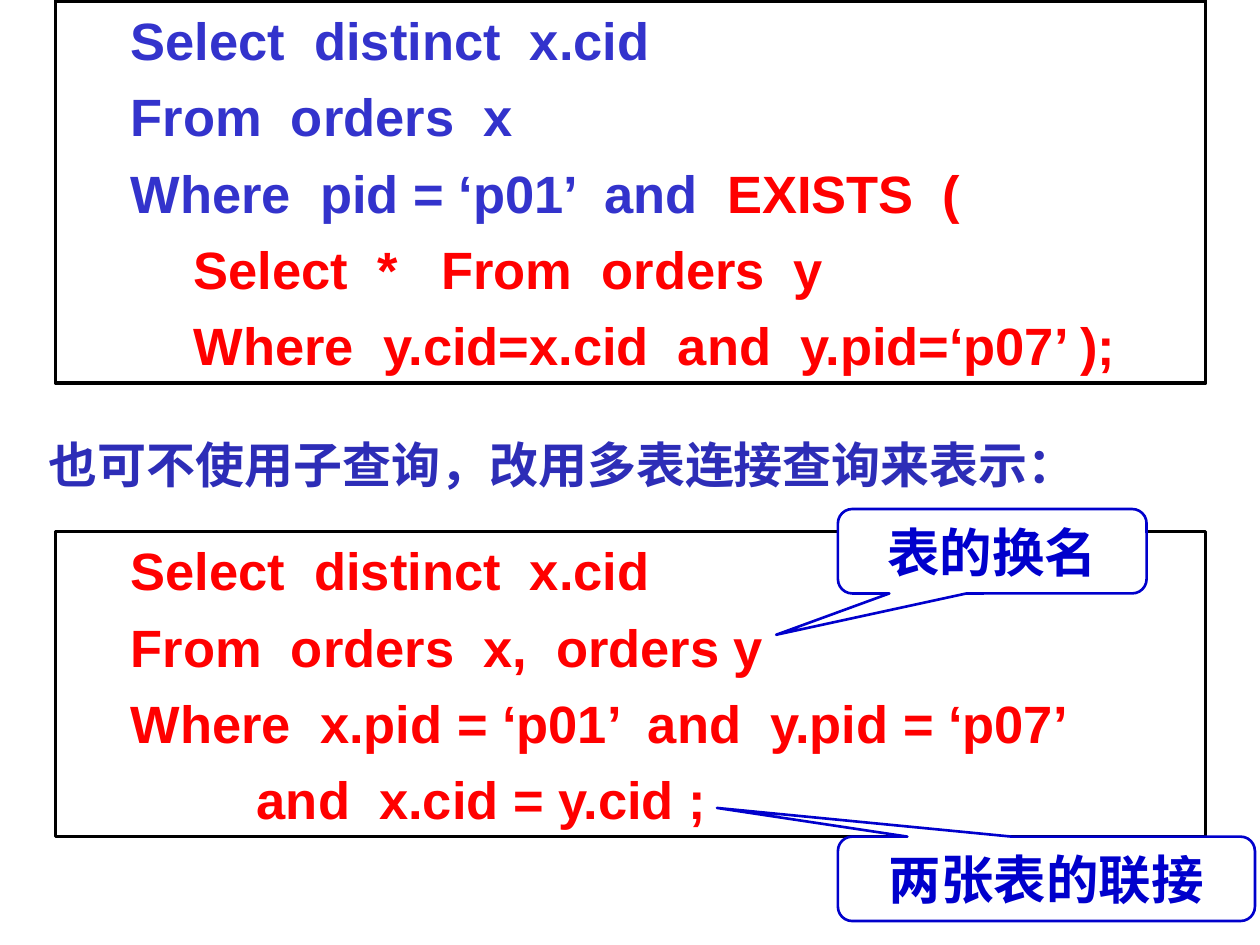
from pptx import Presentation
from pptx.dml.color import RGBColor
from pptx.enum.lang import MSO_LANGUAGE_ID
from pptx.enum.shapes import MSO_SHAPE
from pptx.enum.text import MSO_ANCHOR, PP_ALIGN
from pptx.util import Inches, Pt

RECT = MSO_SHAPE.RECTANGLE
CALLOUT = MSO_SHAPE.ROUNDED_RECTANGULAR_CALLOUT
MIDDLE = MSO_ANCHOR.MIDDLE
LEFT, CENTER = PP_ALIGN.LEFT, PP_ALIGN.CENTER
CHINESE = MSO_LANGUAGE_ID.SIMPLIFIED_CHINESE

RED, BLUE, NAVY, INDIGO = "FF0000", "3333CC", "0000CC", "2D2DB7"
BLACK, WHITE = "000000", "FFFFFF"

# Left margin and first-line indent for each depth of code, in inches
INDENTS = {1: (0.81, -0.31), 2: (1.25, -0.25), 3: (1.75, -0.25)}


def color(code):
    return RGBColor.from_string(code)


class Deck:
    code = {"name": "Arial", "size": Pt(30), "bold": True}
    label = {"name": "Times New Roman", "size": Pt(30), "bold": True,
             "language_id": CHINESE}
    note = {"name": "Arial", "size": Pt(28), "bold": True,
            "language_id": CHINESE}
    gap = Pt(7.5)

    def __init__(self, slide):
        self.slide = slide

    def add_text(self, para, text, style, hue):
        run = para.add_run()
        run.text = text
        for key, value in style.items():
            setattr(run.font, key, value)
        run.font.color.rgb = color(hue)

    def shape(self, kind, box, line, width, fill=None):
        item = self.slide.shapes.add_shape(kind, *map(Inches, box))
        item.shadow.inherit = False
        if fill:
            item.fill.solid()
            item.fill.fore_color.rgb = color(fill)
        else:
            item.fill.background()
        item.line.color.rgb = color(line)
        item.line.width = Pt(width)
        frame = item.text_frame
        frame.word_wrap = True
        frame.vertical_anchor = MIDDLE
        return item

    def query(self, box, lines):
        """Framed code; each line is a depth and its (text, colour) parts."""
        frame = self.shape(RECT, box, BLACK, 2).text_frame
        for i, (depth, *parts) in enumerate(lines):
            para = frame.add_paragraph() if i else frame.paragraphs[0]
            para.alignment = LEFT
            if i:
                para.space_before = self.gap
            props = para._p.get_or_add_pPr()
            for key, value in zip(("marL", "indent"), INDENTS[depth]):
                props.set(key, str(Inches(value)))
            for text, hue in parts:
                self.add_text(para, text, self.code, hue)

    def callout(self, box, tip, text):
        item = self.shape(CALLOUT, box, NAVY, 1.5, WHITE)
        for i, value in enumerate(tip):
            item.adjustments[i] = value
        para = item.text_frame.paragraphs[0]
        para.alignment = CENTER
        self.add_text(para, text, self.label, NAVY)

    def caption(self, box, text):
        frame = self.slide.shapes.add_textbox(*map(Inches, box)).text_frame
        frame.word_wrap = True
        self.add_text(frame.paragraphs[0], text, self.note, INDIGO)


def main():
    show = Presentation()
    show.slide_width, show.slide_height = Inches(10), Inches(7.5)
    deck = Deck(show.slides.add_slide(show.slide_layouts[6]))

    deck.query((0.44, 4.22, 9.13, 2.42), [
        (1, ("Select  distinct  x.cid", RED)),
        (1, ("From  orders  x,  orders y", RED)),
        (1, ("Where  x.pid = ‘p01’  and  y.pid = ‘p07’", RED)),
        (3, ("and  x.cid = y.cid ;", RED)),
    ])
    deck.callout((6.65, 4.04, 2.45, 0.67), (-0.7, 0.99, 0.17), "表的换名")
    deck.callout((6.65, 6.64, 3.31, 0.67), (-0.79, -0.84, 0.17),
                 "两张表的联接")
    deck.query((0.44, 0.01, 9.13, 3.03), [
        (1, ("Select  distinct  x.cid", BLUE)),
        (1, ("From  orders  x", BLUE)),
        (1, ("Where  pid = ‘p01’  and  ", BLUE), ("EXISTS  (", RED)),
        (2, ("Select  *   From  orders  y", RED)),
        (2, ("Where  y.cid=x.cid  and  y.pid=‘p07’ );", RED)),
    ])
    deck.caption((0.29, 3.4, 9.28, 0.57),
                 "也可不使用子查询，改用多表连接查询来表示：")

    show.save("out.pptx")


if __name__ == "__main__":
    main()
